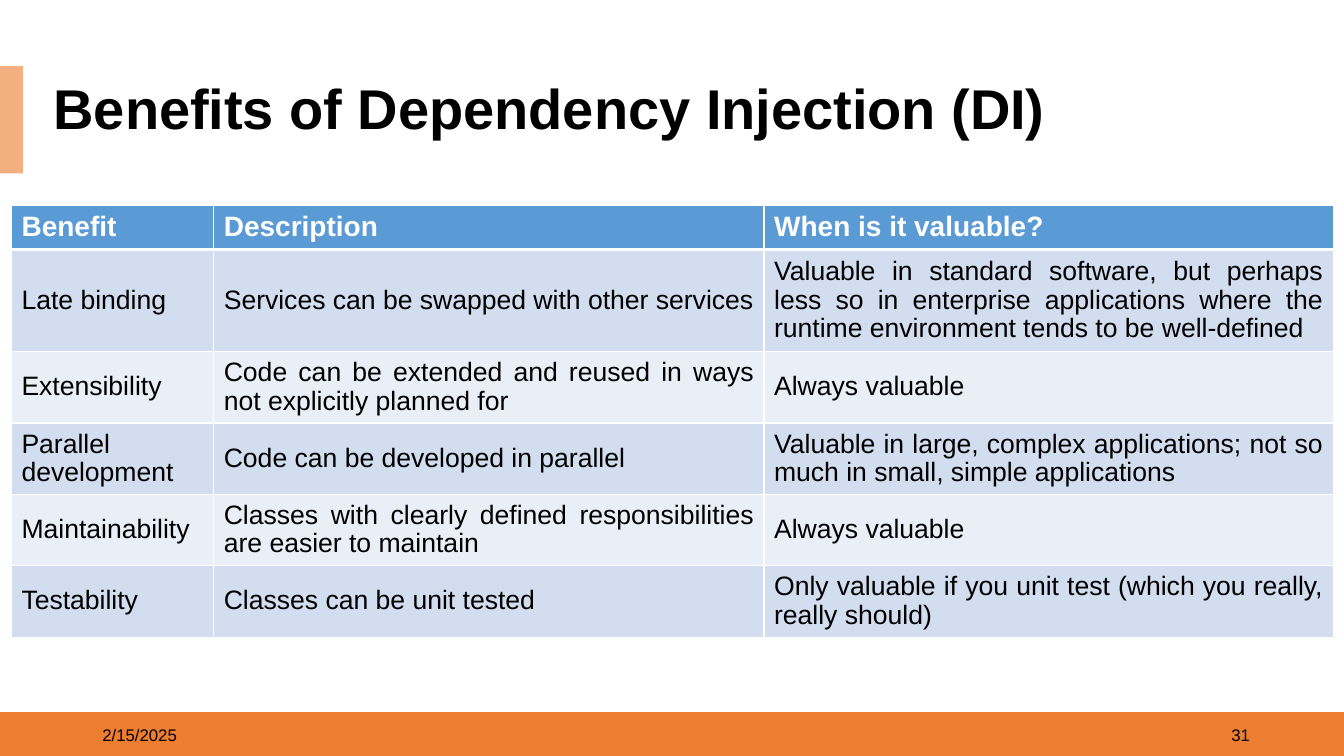
import pptx
import pptx.dml.color
import pptx.enum.shapes
import pptx.enum.text
import pptx.oxml.ns
import pptx.util
import lxml.etree
from dataclasses import dataclass

Pt = pptx.util.Pt
ALIGN = pptx.enum.text.PP_ALIGN
ANCHOR = pptx.enum.text.MSO_ANCHOR


@dataclass(frozen=True)
class Theme:
    font: str = "Arial"
    ink: str = "000000"
    paper: str = "FFFFFF"
    footer: str = "ED7D31"
    accent: str = "F4AF80"
    header: str = "5B9BD5"
    bands: tuple = ("D2DEEF", "EAEFF7")
    title_size: int = 40
    header_size: int = 20
    body_size: int = 19
    footer_size: int = 12


def color(value):
    return pptx.dml.color.RGBColor.from_string(value)


def apply(target, values):
    for name, value in values.items():
        setattr(target, name, value)


class SlideBuilder:
    def __init__(self, slide, theme):
        self.slide = slide
        self.theme = theme

    def fill(self, target, value):
        target.fill.solid()
        target.fill.fore_color.rgb = color(value)

    def set_text(self, frame, text, size, ink, bold=False, **layout):
        para = frame.paragraphs[0]
        apply(para, layout)
        span = para.add_run()
        span.text = text
        apply(span.font, {"name": self.theme.font, "size": Pt(size), "bold": bold})
        span.font.color.rgb = color(ink)

    def bar(self, left, top, width, height, value):
        box = self.slide.shapes.add_shape(
            pptx.enum.shapes.MSO_SHAPE.RECTANGLE,
            Pt(left), Pt(top), Pt(width), Pt(height))
        box.shadow.inherit = False
        self.fill(box, value)
        box.line.fill.background()

    def title(self, text, left, top, width, height):
        box = self.slide.shapes.title
        apply(box, {"left": Pt(left), "top": Pt(top),
                    "width": Pt(width), "height": Pt(height)})
        self.fill(box, self.theme.paper)
        apply(box.text_frame, {"word_wrap": True, "vertical_anchor": ANCHOR.MIDDLE,
                               "auto_size": pptx.enum.text.MSO_AUTO_SIZE.NONE})
        self.set_text(box.text_frame, text, self.theme.title_size, self.theme.ink,
                      bold=True, alignment=ALIGN.LEFT, line_spacing=0.9)

    def footer_text(self, text, left, align):
        box = self.slide.shapes.add_textbox(Pt(left), Pt(510.5), Pt(216), Pt(28.8))
        apply(box.text_frame, {"word_wrap": True, "vertical_anchor": ANCHOR.MIDDLE})
        self.set_text(box.text_frame, text, self.theme.footer_size, self.theme.ink,
                      alignment=align)

    def borders(self, cell, top, bottom):
        properties = cell._tc.get_or_add_tcPr()
        tag = pptx.oxml.ns.qn
        for side, weight in {"L": 1, "R": 1, "T": top, "B": bottom}.items():
            line = lxml.etree.SubElement(properties, tag("a:ln" + side), w=str(Pt(weight)))
            paint = lxml.etree.SubElement(line, tag("a:solidFill"))
            lxml.etree.SubElement(paint, tag("a:srgbClr"), val=self.theme.paper)

    def table(self, rows, left, top, widths, heights):
        theme = self.theme
        table = self.slide.shapes.add_table(
            len(rows), len(widths), Pt(left), Pt(top),
            Pt(sum(widths)), Pt(sum(heights))).table
        for column, width in zip(table.columns, widths):
            column.width = Pt(width)
        for index, (row, height) in enumerate(zip(rows, heights)):
            table.rows[index].height = Pt(height)
            for position, text in enumerate(row):
                cell = table.cell(index, position)
                self.borders(cell, 3 if index == 1 else 1, 3 if index == 0 else 1)
                if index == 0:
                    self.fill(cell, theme.header)
                    self.set_text(cell.text_frame, text, theme.header_size, theme.paper,
                                  bold=True)
                    continue
                self.fill(cell, theme.bands[(index - 1) % 2])
                cell.vertical_anchor = ANCHOR.MIDDLE
                self.set_text(cell.text_frame, text, theme.body_size, theme.ink,
                              alignment=ALIGN.JUSTIFY if position else ALIGN.LEFT,
                              line_spacing=0.96)


BENEFITS = [
    ("Benefit", "Description", "When is it valuable?"),
    ("Late binding", "Services can be swapped with other services",
     "Valuable in standard software, but perhaps less so in enterprise applications "
     "where the runtime environment tends to be well-defined"),
    ("Extensibility",
     "Code can be extended and reused in ways not explicitly planned for",
     "Always valuable"),
    ("Parallel development", "Code can be developed in parallel",
     "Valuable in large, complex applications; not so much in small, simple applications"),
    ("Maintainability",
     "Classes with clearly defined responsibilities are easier to maintain",
     "Always valuable"),
    ("Testability", "Classes can be unit tested",
     "Only valuable if you unit test (which you really, really should)"),
]


def main():
    deck = pptx.Presentation()
    apply(deck, {"slide_width": Pt(960), "slide_height": Pt(540)})
    theme = Theme()
    page = SlideBuilder(deck.slides.add_slide(deck.slide_layouts[5]), theme)
    page.bar(0, 508.7, 960, 31.3, theme.footer)
    page.bar(0, 47.3, 16.4, 76.5, theme.accent)
    page.footer_text("2/15/2025", 66, ALIGN.LEFT)
    page.footer_text("31", 684, ALIGN.RIGHT)
    page.title("Benefits of Dependency Injection (DI)", 31, 56.9, 878.4, 45.4)
    page.table(BENEFITS, 8.2, 146.9, [144.5, 393.1, 406.5], [31.4, 70.3] + [49.4] * 4)
    deck.save("out.pptx")


if __name__ == "__main__":
    main()
